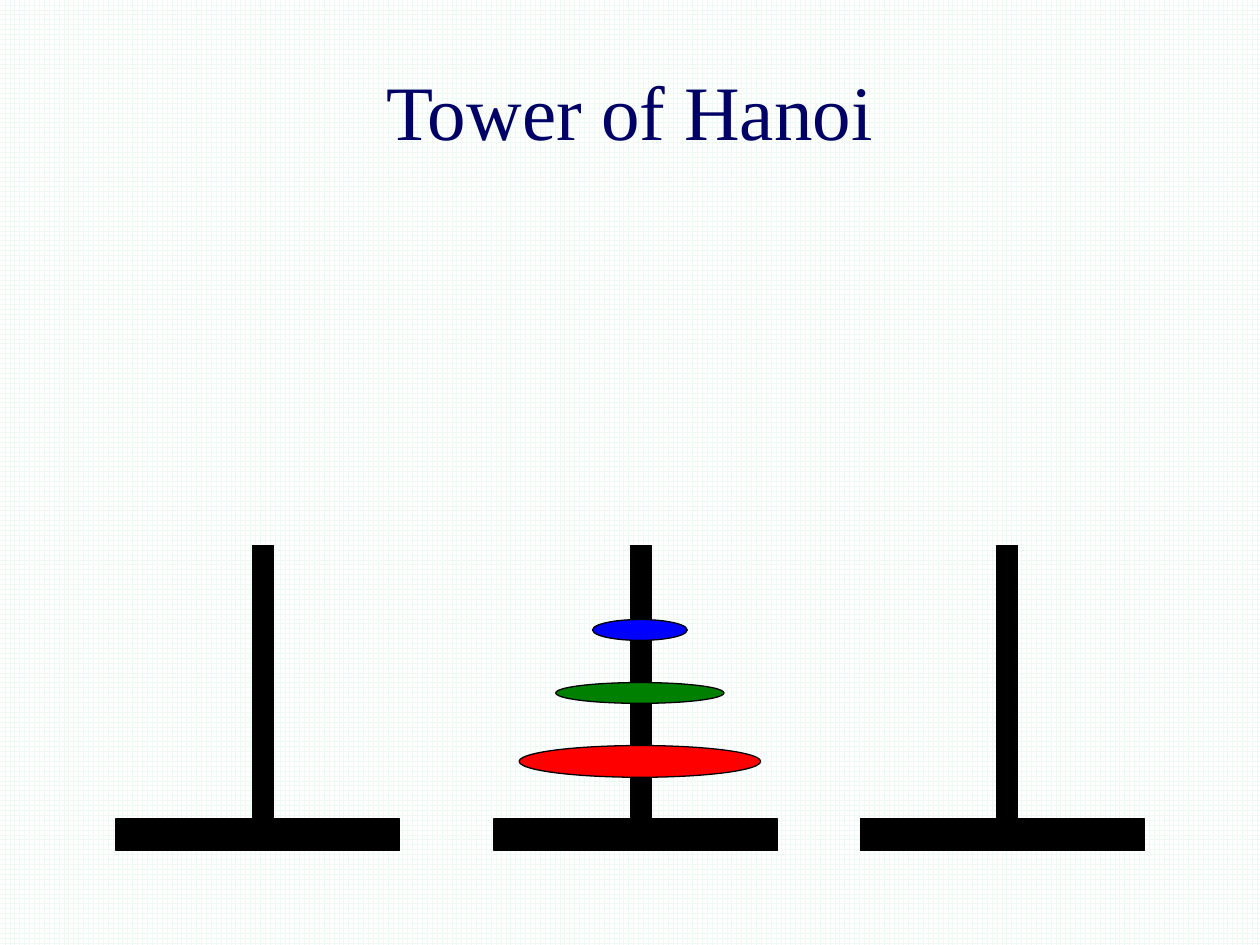
import pptx
import pptx.dml.color
import pptx.enum.dml
import pptx.enum.shapes
import pptx.enum.text
import pptx.util

Cm = pptx.util.Cm
Pt = pptx.util.Pt
SHAPES = pptx.enum.shapes.MSO_SHAPE

TITLE = "Tower of Hanoi"
PEG_CENTERS = [5.2, 12.82, 20.21]
BASE_TOP, BASE_WIDTH, BASE_HEIGHT = 16.51, 5.72, 0.64
POLE_WIDTH, POLE_HEIGHT, POLE_OFFSET = 0.42, 5.51, 0.1
DISK_CENTER = PEG_CENTERS[1] + POLE_OFFSET - 0.02
# top, width, height (cm), colour
DISKS = [
    (15.03, 4.87, 0.64, "FF0000"),
    (13.76, 3.39, 0.42, "008000"),
    (12.49, 1.91, 0.42, "0000FF"),
]


def color(value):
    return pptx.dml.color.RGBColor.from_string(value)


def add_centered(shapes, kind, center, top, width, height, fill):
    """Add a black-outlined shape whose horizontal middle is at center."""
    shape = shapes.add_shape(
        kind, Cm(center - width / 2), Cm(top), Cm(width), Cm(height))
    shape.shadow.inherit = False
    shape.fill.solid()
    shape.fill.fore_color.rgb = color(fill)
    shape.line.color.rgb = color("000000")
    shape.line.width = Pt(0.75)


def add_peg(slide, center):
    group = slide.shapes.add_group_shape()
    add_centered(group.shapes, SHAPES.RECTANGLE, center,
                 BASE_TOP, BASE_WIDTH, BASE_HEIGHT, "000000")
    add_centered(group.shapes, SHAPES.RECTANGLE, center + POLE_OFFSET,
                 BASE_TOP - POLE_HEIGHT, POLE_WIDTH, POLE_HEIGHT, "000000")


def add_text(slide, text, *, left, top, width, height, size, font, fill):
    box = slide.shapes.add_textbox(Cm(left), Cm(top), Cm(width), Cm(height))
    frame = box.text_frame
    frame.word_wrap = True
    frame.vertical_anchor = pptx.enum.text.MSO_ANCHOR.MIDDLE
    paragraph = frame.paragraphs[0]
    paragraph.text = text
    paragraph.alignment = pptx.enum.text.PP_ALIGN.CENTER
    paragraph.font.size = Pt(size)
    paragraph.font.name = font
    paragraph.font.color.rgb = color(fill)


def main():
    presentation = pptx.Presentation()
    presentation.slide_width = Cm(25.4)
    presentation.slide_height = Cm(19.05)
    slide = presentation.slides.add_slide(presentation.slide_layouts[6])

    background = slide.background.fill
    background.patterned()
    background.pattern = pptx.enum.dml.MSO_PATTERN.LARGE_GRID
    background.fore_color.rgb = color("EEF9F4")
    background.back_color.rgb = color("FFFFFF")

    add_text(slide, TITLE, left=1.91, top=0.64, width=21.57, height=3.15,
             size=44, font="Times New Roman", fill="000066")
    for center in PEG_CENTERS:
        add_peg(slide, center)
    for top, width, height, fill in DISKS:
        add_centered(slide.shapes, SHAPES.OVAL, DISK_CENTER,
                     top, width, height, fill)
    presentation.save("out.pptx")


if __name__ == "__main__":
    main()
